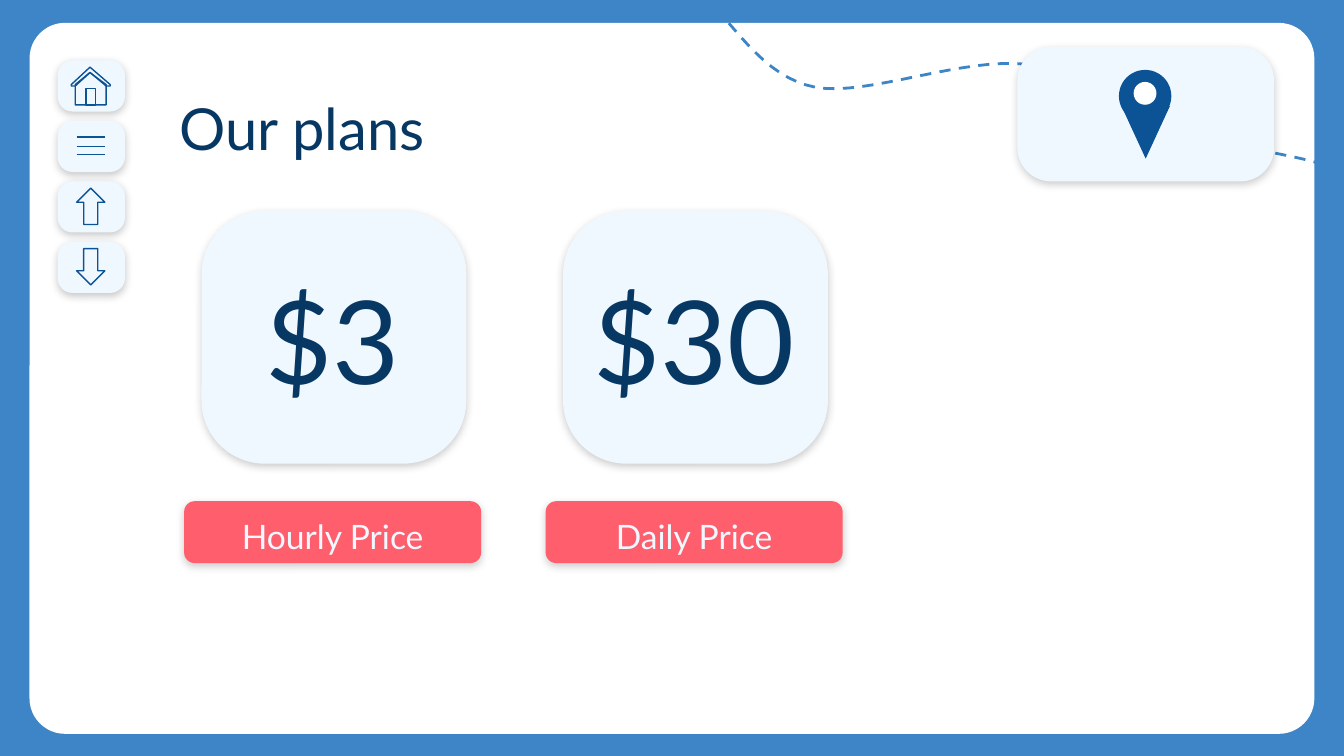
from lxml.etree import SubElement
from pptx import Presentation
from pptx.dml.color import RGBColor
from pptx.enum.dml import MSO_LINE
from pptx.enum.shapes import MSO_CONNECTOR, MSO_SHAPE
from pptx.enum.text import PP_ALIGN
from pptx.oxml.ns import qn
from pptx.util import Inches, Pt

COLORS = {
    "blue": "3D85C6",
    "white": "FFFFFF",
    "pale": "F0F8FF",
    "coral": "FF5F6C",
    "navy": "073763",
    "icon": "0B5394",
}


def color(name):
    return RGBColor.from_string(COLORS[name])


def style(shape, fill=None, line=None, width=0.75):
    shape.shadow.inherit = False
    if fill:
        shape.fill.solid()
        shape.fill.fore_color.rgb = color(fill)
    else:
        shape.fill.background()
    if line:
        shape.line.color.rgb = color(line)
        shape.line.width = Pt(width)
    else:
        shape.line.fill.background()
    return shape


def add_shape(shapes, kind, left, top, width, height, **look):
    shape = shapes.add_shape(kind, Inches(left), Inches(top), Inches(width), Inches(height))
    return style(shape, **look)


def add_card(shapes, left, top, width, height, fill, radius, opacity=20):
    card = add_shape(shapes, MSO_SHAPE.ROUNDED_RECTANGLE, left, top, width, height, fill=fill)
    card.adjustments[0] = radius
    effects = card._element.spPr.find(qn("a:effectLst"))
    shadow = SubElement(effects, qn("a:outerShdw"), blurRad=str(Pt(4.5)), dist=str(Pt(1.5)),
                        dir="5400000", algn="bl", rotWithShape="0")
    tint = SubElement(shadow, qn("a:srgbClr"), val="000000")
    SubElement(tint, qn("a:alpha"), val=str(opacity * 1000))


def add_text(shapes, left, top, width, height, text, size, ink, align=PP_ALIGN.LEFT):
    box = shapes.add_textbox(Inches(left), Inches(top), Inches(width), Inches(height))
    frame = box.text_frame
    frame.word_wrap = True
    frame.margin_left = frame.margin_right = Inches(0.1)
    frame.margin_top = frame.margin_bottom = Inches(0.1)
    para = frame.paragraphs[0]
    para.alignment = align
    span = para.add_run()
    span.text = text
    span.font.name = "Lato"
    span.font.size = Pt(size)
    span.font.color.rgb = color(ink)


def add_outline(shapes, left, top, points, close=True, **look):
    corners = [(Inches(left + x), Inches(top + y)) for x, y in points]
    builder = shapes.build_freeform(*corners[0])
    builder.add_line_segments(corners[1:], close=close)
    return style(builder.convert_to_shape(), **look)


def curve_points(start, segments, steps=16):
    points = [start]
    for first, second, end in segments:
        for step in range(1, steps + 1):
            t = step / steps
            weights = ((1 - t) ** 3, 3 * t * (1 - t) ** 2, 3 * t ** 2 * (1 - t), t ** 3)
            anchors = (start, first, second, end)
            points.append(tuple(sum(w * a[axis] for w, a in zip(weights, anchors)) for axis in (0, 1)))
        start = end
    return points


def add_route(shapes, left, top):
    segments = [
        ((0.13, 0.09), (0.36, 0.51), (0.75, 0.58)),
        ((1.13, 0.65), (1.85, 0.35), (2.33, 0.41)),
        ((2.8, 0.47), (3.19, 0.78), (3.6, 0.93)),
        ((4.02, 1.09), (4.64, 1.08), (4.8, 1.33)),
        ((4.97, 1.57), (4.56, 2.12), (4.6, 2.39)),
        ((4.64, 2.66), (4.97, 2.85), (5.07, 2.95)),
        ((5.17, 3.04), (5.18, 2.95), (5.2, 2.95)),
    ]
    route = add_outline(shapes, left, top, curve_points((0, 0), segments), close=False,
                        line="blue", width=1.5)
    route.line.dash_style = MSO_LINE.DASH


def add_location(shapes, left, top, width, height):
    add_card(shapes, left, top, width, height, "pale", 0.25)
    pin = shapes.add_group_shape().shapes
    center = left + width / 2
    add_shape(pin, MSO_SHAPE.OVAL, center - 0.2, top + 0.17, 0.39, 0.39, fill="icon")
    add_shape(pin, MSO_SHAPE.OVAL, center - 0.09, top + 0.26, 0.17, 0.17, fill="white")
    add_outline(pin, center, top + 0.44, [(-0.18, 0), (0, 0.39), (0.18, 0)], fill="icon")


def add_plan(shapes, left, top, price, label):
    add_card(shapes, left, top + 2.16, 2.21, 0.46, "coral", 0.17)
    add_card(shapes, left + 0.13, top, 1.97, 1.88, "pale", 0.25)
    add_text(shapes, left + 0.12, top + 0.33, 1.97, 1.24, price, 62, "navy", PP_ALIGN.CENTER)
    add_text(shapes, left + 0.2, top + 2.17, 1.81, 0.46, label, 18, "pale", PP_ALIGN.CENTER)


def add_home(shapes, left, top):
    house = shapes.add_group_shape().shapes
    walls = [(0.24, 0.09), (0.13, 0.18), (0.13, 0.33), (0.36, 0.33), (0.36, 0.18)]
    door = [(0.21, 0.21), (0.21, 0.33), (0.28, 0.33), (0.28, 0.21)]
    roof = [(0.24, 0.05), (0.1, 0.18), (0.1, 0.19), (0.13, 0.19), (0.24, 0.09),
            (0.36, 0.19), (0.39, 0.19), (0.39, 0.18)]
    for points in (walls, door, roof):
        add_outline(house, left, top, points, line="icon")


def add_menu(shapes, left, top):
    menu = shapes.add_group_shape().shapes
    for drop in (0.12, 0.19, 0.25):
        level = Inches(top + drop)
        bar = menu.add_connector(MSO_CONNECTOR.STRAIGHT, Inches(left + 0.14), level,
                                 Inches(left + 0.35), level)
        bar.line.color.rgb = color("icon")
        bar.line.width = Pt(0.75)
        SubElement(bar._element.spPr, qn("a:effectLst"))


def add_arrow(shapes, left, top, rotation=0):
    arrow = add_shape(shapes, MSO_SHAPE.DOWN_ARROW, left + 0.14, top + 0.05, 0.21, 0.27, line="icon")
    arrow.rotation = rotation


def add_up_arrow(shapes, left, top):
    add_arrow(shapes, left, top, 180)


def add_navigation(shapes, left, top):
    for index, add_icon in enumerate((add_home, add_menu, add_up_arrow, add_arrow)):
        button_top = top + index * 0.45
        add_card(shapes, left, button_top, 0.5, 0.38, "pale", 0.29, 21)
        add_icon(shapes, left, button_top)


def main():
    deck = Presentation()
    deck.slide_width = Inches(10)
    deck.slide_height = deck.slide_width * 9 // 16
    page = deck.slides.add_slide(deck.slide_layouts[6])
    page.background.fill.solid()
    page.background.fill.fore_color.rgb = color("blue")
    shapes = page.shapes

    panel = add_shape(shapes, MSO_SHAPE.ROUNDED_RECTANGLE, 0.22, 0.17, 9.56, 5.29, fill="white")
    panel.adjustments[0] = 0.05
    for left, price, label in ((1.37, "$3", "Hourly Price"), (4.06, "$30", "Daily Price")):
        add_plan(shapes, left, 1.57, price, label)
    add_text(shapes, 1.24, 0.59, 8.43, 0.69, "Our plans", 31, "navy")
    add_route(shapes, 5.32, 0.07)
    add_location(shapes, 7.57, 0.35, 1.91, 1)
    add_navigation(shapes, 0.43, 0.45)
    deck.save("out.pptx")


if __name__ == "__main__":
    main()
